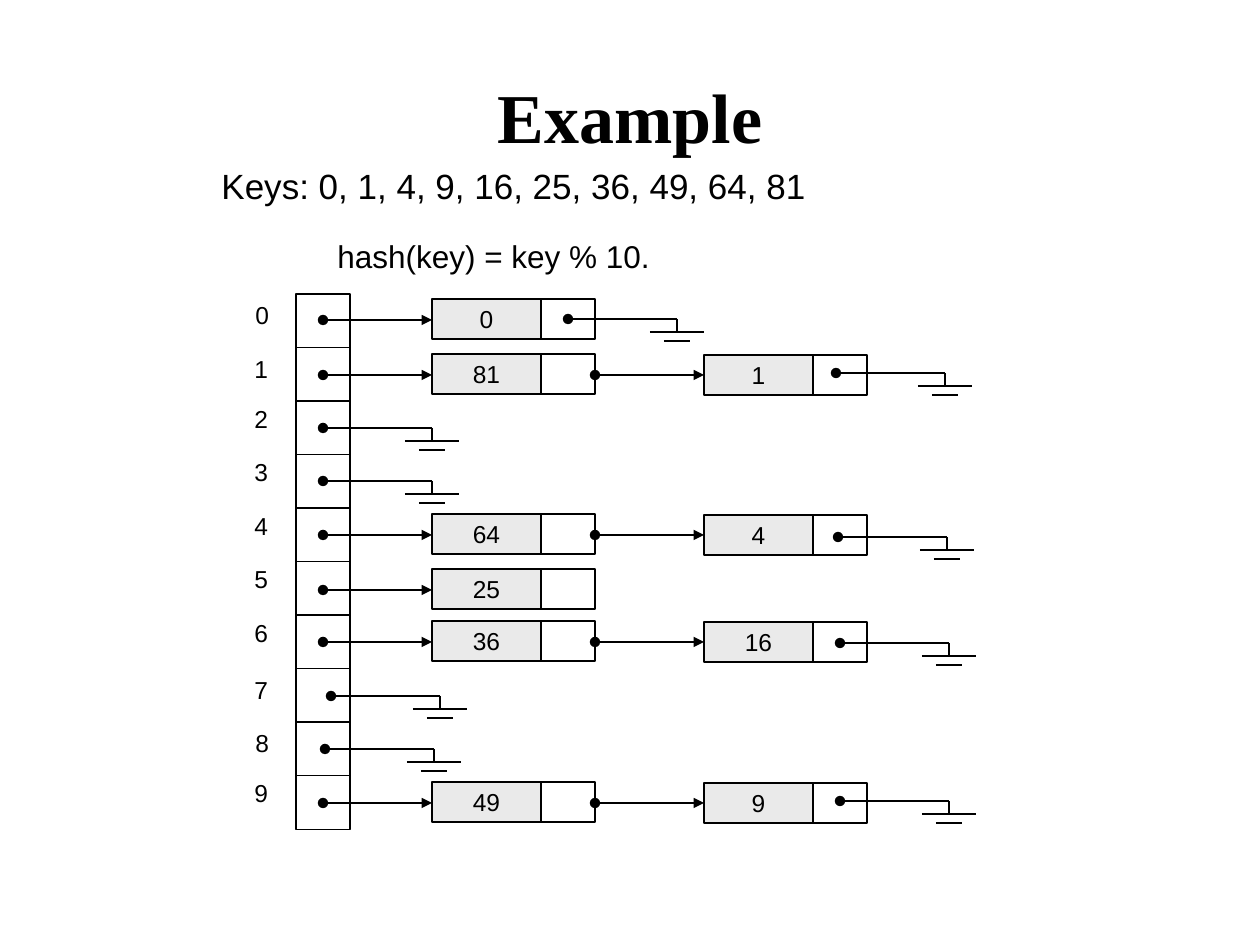
import pptx
import pptx.util
import pptx.dml.color
from pptx.enum.shapes import MSO_CONNECTOR, MSO_SHAPE
from pptx.enum.text import MSO_ANCHOR, MSO_AUTO_SIZE, PP_ALIGN
from pptx.oxml.ns import qn
from lxml import etree

# Content: label position, keys in the chain, top of the chain, start of the ground line
TITLE = "Example"
NOTES = [
    ("Keys: 0, 1, 4, 9, 16, 25, 36, 49, 64, 81", (209, 158, 799, 55), 20, True),
    ("hash(key) = key % 10.", (325, 231, 347, 50), 18, False),
]
BUCKETS = [
    ((243, 294), ["0"], 299, (568, 319)),
    ((242, 348), ["81", "1"], 354, (836, 373)),
    ((242, 398), [], None, (323, 428)),
    ((242, 451), [], None, (323, 481)),
    ((242, 505), ["64", "4"], 514, (838, 537)),
    ((242, 558), ["25"], 569, None),
    ((242, 612), ["36", "16"], 621, (840, 643)),
    ((242, 669), [], None, (331, 696)),
    ((243, 722), [], None, (325, 749)),
    ((242, 772), ["49", "9"], 782, (840, 801)),
]

# Layout in px
EMU_PER_PX = 914400 / 126
SLOT_LEFT, SLOT_TOP, SLOT_PITCH, SLOT_SIZE = 296, 294, 53.5, 54
NODE_LEFT, NODE_PITCH, NODE_HEIGHT = 432, 272, 40
KEY_WIDTH, LINK_WIDTH = 109, 54
ARROW_DROP, ARROW_LENGTH = 21, 109
BLACK, WHITE, GREY = "000000", "FFFFFF", "EAEAEA"


def px(value):
    return pptx.util.Emu(round(value * EMU_PER_PX))


def color(code):
    return pptx.dml.color.RGBColor.from_string(code)


def style_text(frame, text, size, name="Arial", bold=False, align=PP_ALIGN.LEFT):
    frame.text = text
    para = frame.paragraphs[0]
    para.alignment = align
    formats = {"size": pptx.util.Pt(size), "name": name, "bold": bold}
    for attribute, value in formats.items():
        setattr(para.font, attribute, value)
    para.font.color.rgb = color(BLACK)


def add_text(page, text, area, size, wrap=False):
    frame = page.shapes.add_textbox(*map(px, area)).text_frame
    frame.word_wrap = wrap
    frame.auto_size = MSO_AUTO_SIZE.SHAPE_TO_FIT_TEXT
    style_text(frame, text, size)


def add_box(page, area, fill, text=""):
    box = page.shapes.add_shape(MSO_SHAPE.RECTANGLE, *map(px, area))
    box.shadow.inherit = False
    box.fill.solid()
    box.fill.fore_color.rgb = color(fill)
    box.line.color.rgb = color(BLACK)
    box.line.width = pptx.util.Pt(1)
    if text:
        frame = box.text_frame
        frame.word_wrap = False
        frame.vertical_anchor = MSO_ANCHOR.MIDDLE
        style_text(frame, text, 14, align=PP_ALIGN.CENTER)


def add_line(page, start, end, head=None, tail=None):
    line = page.shapes.add_connector(MSO_CONNECTOR.STRAIGHT, *map(px, start + end))
    line.line.color.rgb = color(BLACK)
    line.line.width = pptx.util.Pt(1)
    outline = line.line._get_or_add_ln()
    for tag, kind in (("a:headEnd", head), ("a:tailEnd", tail)):
        if kind:
            etree.SubElement(outline, qn(tag), type=kind)
    etree.SubElement(line._element.spPr, qn("a:effectLst"))


def add_arrow(page, x, y):
    add_line(page, (x, y), (x + ARROW_LENGTH, y), "oval", "triangle")


def add_ground(page, x, y):
    stem = x + ARROW_LENGTH
    add_line(page, (x, y), (stem, y), "oval")
    add_line(page, (stem, y), (stem, y + 13))
    for half, drop in ((27, 13), (13, 22)):
        add_line(page, (stem - half, y + drop), (stem + half, y + drop))


def main():
    deck = pptx.Presentation()
    deck.slide_width, deck.slide_height = px(1260), px(945)
    page = deck.slides.add_slide(deck.slide_layouts[5])

    # Title
    title = page.shapes.title
    area = {"left": 94, "top": 63, "width": 1072, "height": 105}
    for attribute, value in area.items():
        setattr(title, attribute, px(value))
    title.text_frame.vertical_anchor = MSO_ANCHOR.MIDDLE
    style_text(title.text_frame, TITLE, 40, "Times New Roman", True, PP_ALIGN.CENTER)

    # Table slots with their index
    for index, (label, *_) in enumerate(BUCKETS):
        add_text(page, str(index), (*label, 39, 43), 14)
        top = SLOT_TOP + index * SLOT_PITCH
        add_box(page, (SLOT_LEFT, top, SLOT_SIZE, SLOT_SIZE), WHITE)

    # Chained nodes, arrows and grounds
    for _, keys, top, ground in BUCKETS:
        for step, key in enumerate(keys):
            left = NODE_LEFT + step * NODE_PITCH
            add_box(page, (left, top + step, KEY_WIDTH, NODE_HEIGHT), GREY, key)
            add_box(page, (left + KEY_WIDTH, top + step, LINK_WIDTH, NODE_HEIGHT), WHITE)
        for step in range(len(keys)):
            add_arrow(page, NODE_LEFT + step * NODE_PITCH - ARROW_LENGTH, top + ARROW_DROP)
        if ground:
            add_ground(page, *ground)

    # Key list and hash function
    for text, area, size, wrap in NOTES:
        add_text(page, text, area, size, wrap)

    deck.save("out.pptx")


if __name__ == "__main__":
    main()
